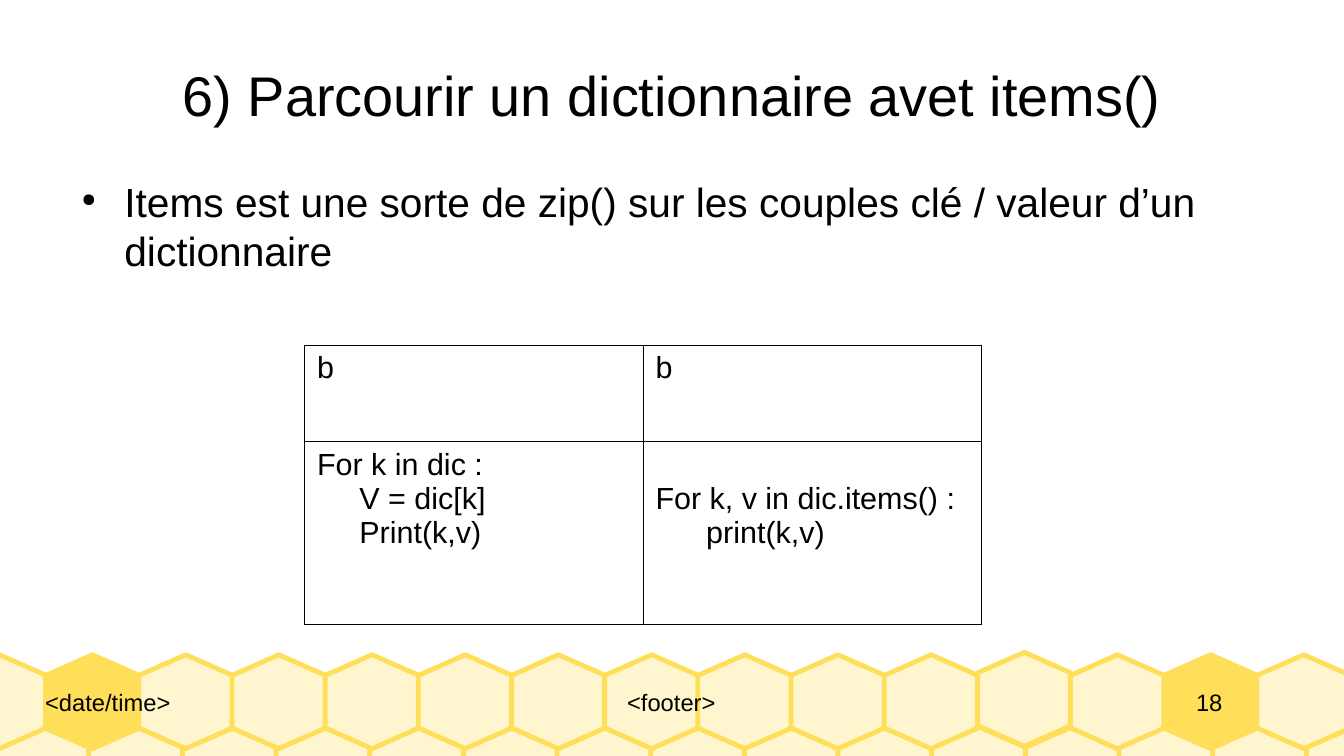
from dataclasses import dataclass

from lxml.etree import SubElement
from pptx import Presentation
from pptx.dml.color import RGBColor
from pptx.enum.text import MSO_ANCHOR as Anchor, MSO_AUTO_SIZE as AutoSize, PP_ALIGN as Align
from pptx.oxml.ns import qn
from pptx.slide import Slide
from pptx.text.text import TextFrame
from pptx.util import Inches, Pt

COLORS = {"text": "000000", "border": "000000", "honey": "FFDE59", "wax": "FFF5CE"}
FONT = "Arial"
CELL_SIZE = 0.77
CELLS_PER_ROW = 15


@dataclass(frozen=True)
class HoneycombRow:
    left: float
    top: float
    pitch: float
    filled: tuple[int, ...] = ()
    raised: tuple[int, ...] = ()


@dataclass(frozen=True)
class FooterField:
    text: str
    left: float
    width: float
    align: Align


@dataclass(frozen=True)
class CodeCell:
    row: int
    column: int
    lines: tuple[str, ...]
    top_margin: float = 0.05


HONEYCOMB = (
    HoneycombRow(-0.04, 5.96, 0.768),
    HoneycombRow(-0.39, 5.37, 0.764, filled=(1, 13), raised=(11,)),
)
FOOTER = (
    FooterField("<date/time>", 0.37, 2.63, Align.LEFT),
    FooterField("<footer>", 3, 5.01, Align.CENTER),
    FooterField("18", 9.29, 1.25, Align.CENTER),
)
CODE_CELLS = (
    CodeCell(0, 0, ("b",)),
    CodeCell(0, 1, ("b",)),
    CodeCell(1, 0, ("For k in dic\u00a0:", "     V = dic[k]", "     Print(k,v)")),
    CodeCell(1, 1, ("For k, v in dic.items()\u00a0:", "      print(k,v)"), 0.33),
)


def rgb(name: str) -> RGBColor:
    return RGBColor.from_string(COLORS[name])


def write(frame: TextFrame, *lines: str, size: float, align: Align = Align.LEFT,
          anchor: Anchor = Anchor.TOP, margins: tuple[float, ...] = (0, 0, 0, 0),
          bullet: bool = False) -> None:
    frame.word_wrap = True
    frame.auto_size = AutoSize.NONE
    frame.vertical_anchor = anchor
    (frame.margin_left, frame.margin_top,
     frame.margin_right, frame.margin_bottom) = map(Inches, margins)
    for index, line in enumerate(lines):
        paragraph = frame.add_paragraph() if index else frame.paragraphs[0]
        paragraph.alignment = align
        if bullet:
            add_bullet(paragraph._p.get_or_add_pPr())
        run = paragraph.add_run()
        run.text = line
        run.font.name = FONT
        run.font.size = Pt(size)
        run.font.color.rgb = rgb("text")


def add_bullet(properties) -> None:
    properties.set("marL", str(Inches(0.47)))
    properties.set("indent", str(Inches(-0.35)))
    color = SubElement(properties, qn("a:buClr"))
    SubElement(color, qn("a:srgbClr"), val=COLORS["text"])
    SubElement(properties, qn("a:buSzPct"), val="45000")
    SubElement(properties, qn("a:buChar"), char="●")


def draw_hexagon(slide: Slide, left: float, top: float, fill: str) -> None:
    middle, right = left + CELL_SIZE / 2, left + CELL_SIZE
    shoulder, hip, bottom = top + 0.17, top + 0.6, top + CELL_SIZE
    corners = ((left, shoulder), (left, hip), (middle, bottom), (right, hip), (right, shoulder))
    outline = slide.shapes.build_freeform(Inches(middle), Inches(top))
    outline.add_line_segments([(Inches(x), Inches(y)) for x, y in corners])
    hexagon = outline.convert_to_shape()
    hexagon.shadow.inherit = False
    hexagon.fill.solid()
    hexagon.fill.fore_color.rgb = rgb(fill)
    hexagon.line.color.rgb = rgb("honey")
    hexagon.line.width = Pt(2.83)


def draw_honeycomb(slide: Slide, row: HoneycombRow) -> None:
    for index in range(CELLS_PER_ROW):
        top = row.top - 0.02 if index in row.raised else row.top
        draw_hexagon(slide, row.left + index * row.pitch, top,
                     "honey" if index in row.filled else "wax")


def add_frame(slide: Slide, left: float, top: float, width: float, height: float) -> TextFrame:
    return slide.shapes.add_textbox(*map(Inches, (left, top, width, height))).text_frame


def add_borders(cell) -> None:
    properties = cell._tc.get_or_add_tcPr()
    for position, side in enumerate(("lnL", "lnR", "lnT", "lnB")):
        border = SubElement(properties, qn(f"a:{side}"), w=str(Pt(0.57)))
        SubElement(SubElement(border, qn("a:solidFill")), qn("a:srgbClr"), val=COLORS["border"])
        properties.insert(position, border)


def draw_code_table(slide: Slide) -> None:
    table = slide.shapes.add_table(2, 2, *map(Inches, (2.5, 2.83, 5.55, 2.29))).table
    table.first_row = table.horz_banding = False
    for row, height in zip(table.rows, (0.79, 1.5)):
        row.height = Inches(height)
    for code in CODE_CELLS:
        cell = table.cell(code.row, code.column)
        write(cell.text_frame, *code.lines, size=18)
        cell.margin_left = cell.margin_right = Inches(0.1)
        cell.margin_top, cell.margin_bottom = Inches(code.top_margin), Inches(0.05)
        cell.fill.background()
        add_borders(cell)


def main() -> None:
    """Build the slide on looping over a dictionary with items()."""
    deck = Presentation()
    deck.slide_width, deck.slide_height = Inches(11.02), Inches(6.2)
    slide = deck.slides.add_slide(deck.slide_layouts[5])
    for row in HONEYCOMB:
        draw_honeycomb(slide, row)
    for field in FOOTER:
        write(add_frame(slide, field.left, 5.37, field.width, 0.77), field.text,
              size=14, align=field.align, anchor=Anchor.MIDDLE)
    title = slide.shapes.title
    title.left, title.top, title.width, title.height = map(Inches, (0.55, 0.25, 9.92, 1.04))
    write(title.text_frame, "6) Parcourir un dictionnaire avet items()",
          size=33, align=Align.CENTER, anchor=Anchor.MIDDLE)
    write(add_frame(slide, 0.55, 1.45, 9.92, 3.6),
          "Items est une sorte de zip() sur les couples clé / valeur d’un dictionnaire",
          size=24, bullet=True)
    draw_code_table(slide)
    deck.save("out.pptx")


if __name__ == "__main__":
    main()
